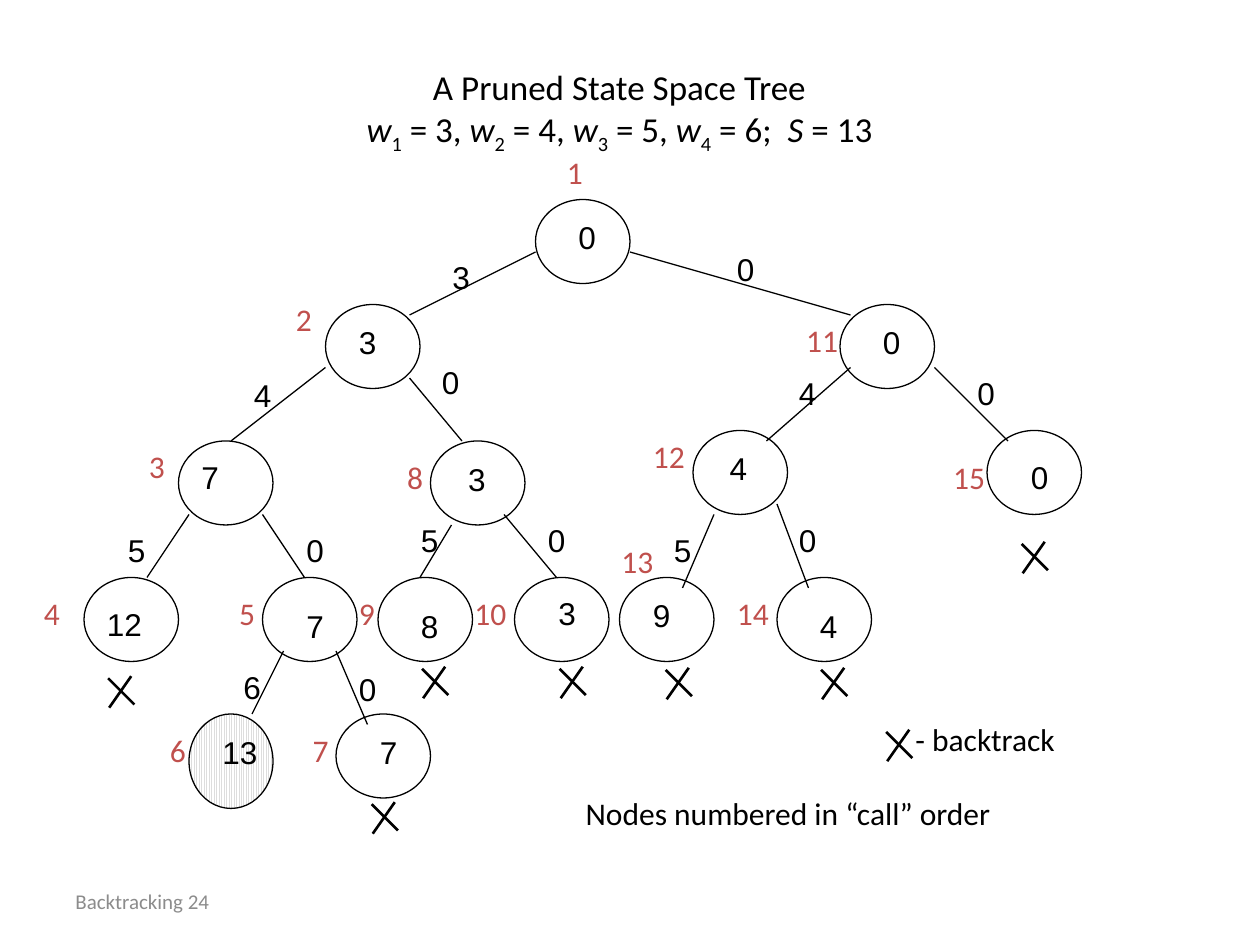
from lxml import etree
from pptx import Presentation
from pptx import util as u
from pptx.dml.color import RGBColor
from pptx.enum import dml, shapes, text
from pptx.oxml.ns import qn

THEME = {
    "ink": RGBColor.from_string("000000"),
    "order": RGBColor.from_string("C0504D"),
    "footer": RGBColor.from_string("8C8C8C"),
    "hatch": RGBColor.from_string("DDDDDD"),
    "paper": RGBColor.from_string("FFFFFF"),
    "number_font": "Arial",
    "text_font": "Calibri",
    "title_size": u.Pt(20),
    "body_size": u.Pt(18),
    "footer_size": u.Pt(12),
    "thin": u.Pt(0.75),
    "thick": u.Pt(1.5),
}

# All positions are in twelfths of an inch.
GRID = u.Cm(2.54) / 12
NODE_SIZE = (9, 8)
SOLUTION_SIZE = (8, 9)
SOLUTION = 6
NUMBER_WIDTHS = {1: 4.1, 2: 5.8}
ORDER_WIDTHS = {1: 4.4, 2: 6.4}
NUMBER_HEIGHT, TEXT_HEIGHT = 4.8, 6
CROSS_STROKES = [((0.1, 3), (2.2, 0)), ((0, 0.2), (2.5, 2.7))]

TITLE = "A Pruned State Space Tree"
WEIGHTS = [
    ("w", "1", " = 3, "),
    ("w", "2", " = 4, "),
    ("w", "3", " = 5, "),
    ("w", "4", " = 6;  "),
    ("S", "", " = 13"),
]

# Call order: node corner, partial sum and its corner, corner of the order number.
NODES = {
    1: ((51, 19), "0", (53.9, 20.2), (52.8, 14)),
    2: ((31, 29), "3", (33, 30.2), (27, 28)),
    3: ((17, 42), "7", (18, 43), (13, 42)),
    4: ((8, 55), "12", (9, 57), (3, 56)),
    5: ((25, 55), "7", (28, 57.2), (21.6, 56)),
    6: ((18, 68), "13", (20, 69.2), (15, 69)),
    7: ((32, 68), "7", (35, 69.2), (28.6, 69)),
    8: ((41, 42), "3", (43.4, 43.2), (37.6, 43)),
    9: ((36, 55), "8", (38.9, 57.2), (33, 56)),
    10: ((49, 55), "3", (52, 56), (44, 56)),
    11: ((80, 29), "0", (82.9, 30.2), (75.6, 30)),
    12: ((66, 41), "4", (68.3, 42.2), (61, 41)),
    13: ((59, 55), "9", (61, 56.2), (58, 51)),
    14: ((74, 55), "4", (76.9, 57.2), (69, 56)),
    15: ((94, 41), "0", (97, 43), (89.6, 43)),
}

# Start, end, added weight and its corner.
EDGES = [
    ((51, 24), (39, 30), "3", (41.9, 24)),
    ((60, 24), (81, 30), "0", (69, 23.2)),
    ((31, 35), (22, 42), "4", (23, 35.2)),
    ((39, 36), (44, 42), "0", (40.9, 34)),
    ((81, 35), (73, 42), "4", (74.9, 35)),
    ((89, 35), (96, 42), "0", (91.9, 35)),
    ((18, 49), (14, 55), "5", (11, 50)),
    ((25, 49), (29, 55), "0", (28, 50)),
    ((43, 50), (40, 55), "5", (38.9, 49)),
    ((48, 49), (53, 55), "0", (51, 49)),
    ((68, 49), (65, 56), "5", (63, 50)),
    ((74, 48), (77, 56), "0", (74.9, 49)),
    ((27, 62), (24, 68), "6", (22, 63)),
    ((32, 62), (35, 69), "0", (33, 63.2)),
]

CROSSES = [
    (10.3, 64.4), (35.4, 76.4), (40.2, 63.5), (53.3, 63.5),
    (63.4, 63.6), (78.2, 63.6), (97.3, 51.6), (84.4, 69.5),
]

CAPTIONS = [
    ("- backtrack", (86, 68), 20.3),
    ("Nodes numbered in “call” order", (54.6, 75), 53.4),
]


def grid(*values):
    return [u.Emu(round(value * GRID)) for value in values]


def format_run(run, font, size, color):
    run.font.name = font
    run.font.size = size
    run.font.color.rgb = color


def add_text(slide, content, corner, width, height, font="text_font",
             size="body_size", color="ink"):
    box = slide.shapes.add_textbox(*grid(*corner, width, height))
    frame = box.text_frame
    frame.text = content
    frame.word_wrap = False
    frame.auto_size = text.MSO_AUTO_SIZE.SHAPE_TO_FIT_TEXT
    format_run(frame.paragraphs[0].runs[0], THEME[font], THEME[size], THEME[color])
    return frame


def add_number(slide, content, corner):
    add_text(slide, content, corner, NUMBER_WIDTHS[len(content)], NUMBER_HEIGHT,
             font="number_font")


def add_line(slide, start, end, weight):
    line = slide.shapes.add_connector(
        shapes.MSO_CONNECTOR.STRAIGHT, *grid(*start, *end))
    line.line.color.rgb = THEME["ink"]
    line.line.width = THEME[weight]
    etree.SubElement(line._element.spPr, qn("a:effectLst"))


def add_cross(slide, corner):
    left, top = corner
    for stroke in CROSS_STROKES:
        start, end = [(left + x, top + y) for x, y in stroke]
        add_line(slide, start, end, "thick")


def add_node(slide, order, corner, total, total_corner, order_corner):
    size = SOLUTION_SIZE if order == SOLUTION else NODE_SIZE
    node = slide.shapes.add_shape(shapes.MSO_SHAPE.OVAL, *grid(*corner, *size))
    node.shadow.inherit = False
    node.line.color.rgb = THEME["ink"]
    node.line.width = THEME["thin"]
    if order == SOLUTION:
        node.fill.patterned()
        node.fill.pattern = dml.MSO_PATTERN.NARROW_VERTICAL
        node.fill.fore_color.rgb = THEME["hatch"]
        node.fill.back_color.rgb = THEME["paper"]
    else:
        node.fill.background()
    add_number(slide, total, total_corner)
    label = str(order)
    add_text(slide, label, order_corner, ORDER_WIDTHS[len(label)], TEXT_HEIGHT,
             color="order")


def add_title(slide):
    title = slide.shapes.title
    title.left, title.top, title.width, title.height = grid(8, 4, 102, 13)
    frame = title.text_frame
    frame.text = TITLE
    frame.auto_size = text.MSO_AUTO_SIZE.NONE
    frame.vertical_anchor = text.MSO_ANCHOR.MIDDLE
    paragraph = frame.paragraphs[0]
    paragraph.alignment = text.PP_ALIGN.CENTER
    paragraph.font.size = THEME["title_size"]
    paragraph.add_line_break()
    for symbol, index, value in WEIGHTS:
        for content, italic, baseline in (
                (symbol, True, None), (index, False, "-25000"), (value, False, None)):
            if content:
                run = paragraph.add_run()
                run.text = content
                run.font.italic = italic
                if baseline:
                    run.font._element.set("baseline", baseline)
    for run in paragraph.runs:
        format_run(run, THEME["text_font"], THEME["title_size"], THEME["ink"])


def main():
    presentation = Presentation()
    presentation.slide_width, presentation.slide_height = u.Cm(25.4), u.Cm(19.05)
    slide = presentation.slides.add_slide(presentation.slide_layouts[5])
    add_title(slide)
    for order, node in NODES.items():
        add_node(slide, order, *node)
    for start, end, weight, corner in EDGES:
        add_line(slide, start, end, "thin")
        add_number(slide, weight, corner)
    for corner in CROSSES:
        add_cross(slide, corner)
    for content, corner, width in CAPTIONS:
        add_text(slide, content, corner, width, TEXT_HEIGHT)
    footer = add_text(slide, "Backtracking 24", (6, 83.4), 28, 4.8,
                      size="footer_size", color="footer")
    footer.auto_size = text.MSO_AUTO_SIZE.NONE
    footer.word_wrap = True
    footer.vertical_anchor = text.MSO_ANCHOR.MIDDLE
    presentation.save("out.pptx")


if __name__ == "__main__":
    main()
